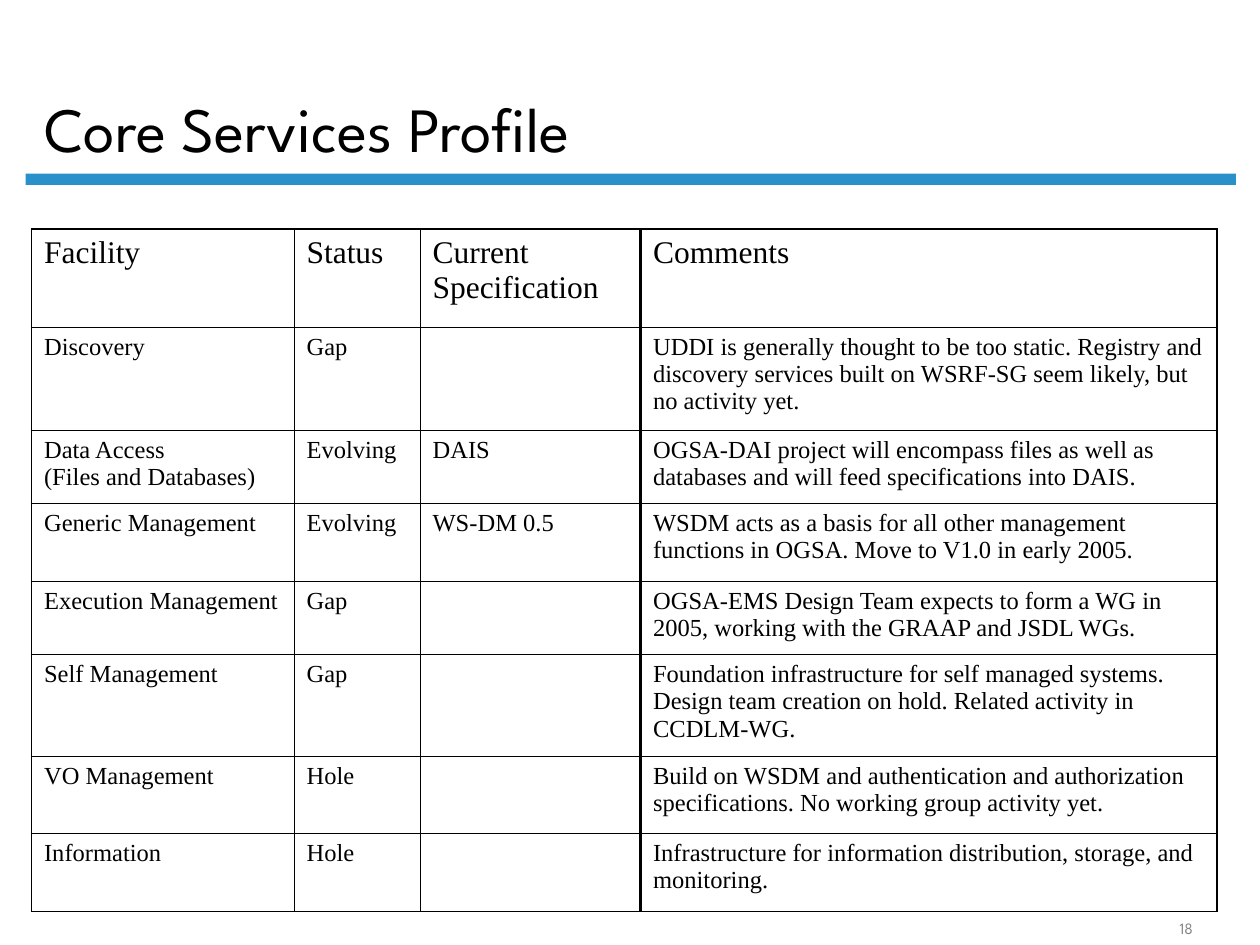
from lxml.etree import SubElement
from pptx import Presentation
from pptx.dml.color import RGBColor as RGB
from pptx.enum.shapes import MSO_SHAPE as SHAPE
from pptx.enum.text import MSO_ANCHOR as ANCHOR, PP_ALIGN as ALIGN
from pptx.oxml.ns import qn
from pptx.util import Pt

COLORS = {"text": "000000", "bar": "2990CA", "number": "848589", "border": "000000"}
HEADING_FONT, TABLE_FONT = "League Spartan", "Times New Roman"
THIN, OUTER, DIVIDER = 0.45, 1.08, 1.47

COL_WIDTHS = [150, 72, 126, 329.5]
ROW_HEIGHTS = [56.1, 58.7, 41.7, 44.6, 42.1, 57.8, 44.5, 44.5]
ROWS = [
    ("Facility", "Status", "Current Specification", "Comments"),
    ("Discovery", "Gap", "",
     "UDDI is generally thought to be too static. Registry and discovery "
     "services built on WSRF-SG seem likely, but no activity yet."),
    ("Data Access\n(Files and Databases)", "Evolving", "DAIS",
     "OGSA-DAI project will encompass files as well as databases and will "
     "feed specifications into DAIS."),
    ("Generic Management", "Evolving", "WS-DM 0.5",
     "WSDM acts as a basis for all other management functions in OGSA. "
     "Move to V1.0 in early 2005."),
    ("Execution Management", "Gap", "",
     "OGSA-EMS Design Team expects to form a WG in 2005, working with the "
     "GRAAP and JSDL WGs."),
    ("Self Management", "Gap", "",
     "Foundation infrastructure for self managed systems. Design team "
     "creation on hold. Related activity in CCDLM-WG."),
    ("VO Management", "Hole", "",
     "Build on WSDM and authentication and authorization specifications. "
     "No working group activity yet."),
    ("Information", "Hole", "",
     "Infrastructure for information distribution, storage, and monitoring."),
]


def write(tf, text, font, size, color, **paragraph_format):
    tf.text = text
    for p in tf.paragraphs:
        for name, value in paragraph_format.items():
            setattr(p, name, value)
        for r in p.runs:
            r.font.name, r.font.size = font, Pt(size)
            r.font.color.rgb = RGB.from_string(COLORS[color])


def place(sp, box):
    for name, value in zip(("left", "top", "width", "height"), box):
        setattr(sp, name, Pt(value))


def add_title(s, box, text):
    sp = s.shapes.title
    place(sp, box)
    tf = sp.text_frame
    tf.word_wrap, tf.vertical_anchor = True, ANCHOR.BOTTOM
    write(tf, text, HEADING_FONT, 36, "text", alignment=ALIGN.LEFT, line_spacing=0.9)


def add_bar(s, box):
    sp = s.shapes.add_shape(SHAPE.RECTANGLE, *map(Pt, box))
    sp.shadow.inherit = False
    sp.fill.solid()
    sp.fill.fore_color.rgb = RGB.from_string(COLORS["bar"])
    sp.line.fill.background()


def set_borders(cell, widths):
    """Draw the left, right, top and bottom borders, widths in points."""
    tc_pr = cell._tc.get_or_add_tcPr()
    for side, width in zip("LRTB", widths):
        ln = SubElement(tc_pr, qn(f"a:ln{side}"), w=str(Pt(width)))
        fill = SubElement(ln, qn("a:solidFill"))
        SubElement(fill, qn("a:srgbClr"), val=COLORS["border"])


def add_services_table(s, left, top):
    size = Pt(sum(COL_WIDTHS)), Pt(sum(ROW_HEIGHTS))
    table = s.shapes.add_table(len(ROWS), len(COL_WIDTHS), Pt(left), Pt(top), *size).table
    table.first_row = table.horz_banding = False
    for column, width in zip(table.columns, COL_WIDTHS):
        column.width = Pt(width)
    for row, height in zip(table.rows, ROW_HEIGHTS):
        row.height = Pt(height)

    verticals = [OUTER, THIN, THIN, DIVIDER, OUTER]
    horizontals = [OUTER] + [THIN] * (len(ROWS) - 1) + [OUTER]
    for i, row in enumerate(ROWS):
        for j, text in enumerate(row):
            cell = table.cell(i, j)
            set_borders(cell, verticals[j:j + 2] + horizontals[i:i + 2])
            cell.fill.background()
            write(cell.text_frame, text, TABLE_FONT, 14 if i else 18, "text")


def add_slide_number(s, box, number):
    tf = s.shapes.add_textbox(*map(Pt, box)).text_frame
    tf.word_wrap, tf.vertical_anchor = True, ANCHOR.BOTTOM
    write(tf, number, HEADING_FONT, 9, "number", alignment=ALIGN.CENTER)


def main():
    prs = Presentation()
    prs.slide_width, prs.slide_height = Pt(720), Pt(540)
    s = prs.slides.add_slide(prs.slide_layouts[5])
    add_bar(s, (14.7, 99.2, 691.5, 6.5))
    add_title(s, (18, 8.6, 616.3, 90), "Core Services Profile")
    add_services_table(s, 18, 131)
    add_slide_number(s, (648, 522, 59.8, 17.3), "18")
    prs.save("out.pptx")


if __name__ == "__main__":
    main()
